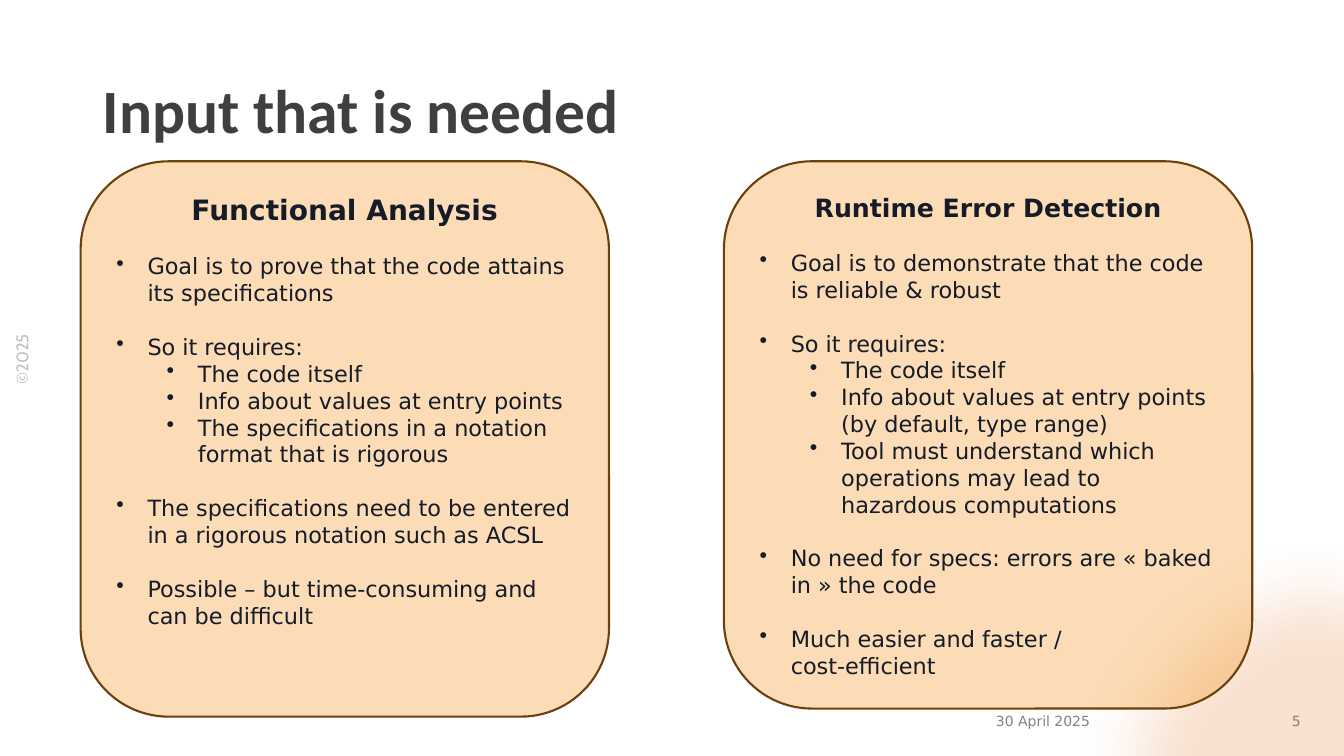
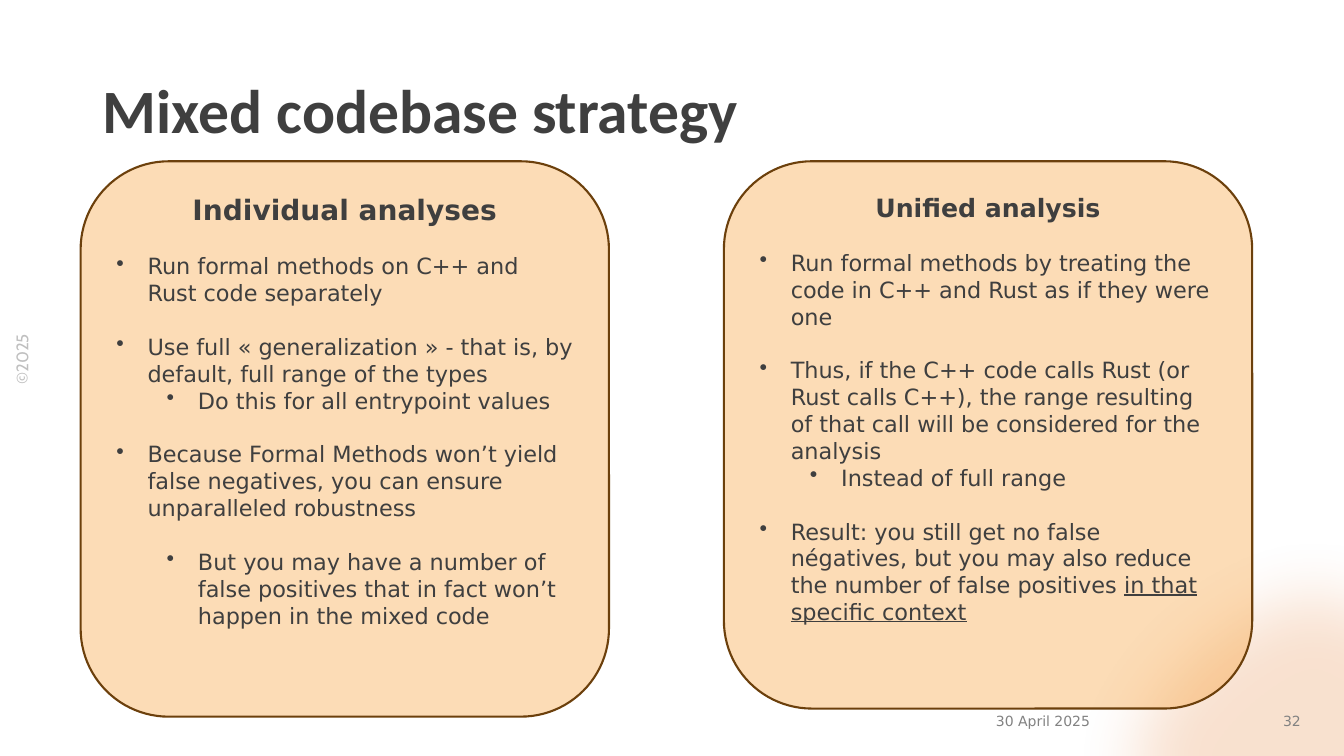
from dataclasses import dataclass

from lxml.etree import SubElement
from pptx import Presentation
from pptx.dml.color import RGBColor
from pptx.enum.shapes import MSO_SHAPE
from pptx.enum.text import MSO_ANCHOR, MSO_AUTO_SIZE, PP_ALIGN
from pptx.oxml.ns import qn
from pptx.util import Inches, Pt

# Shared look
TITLE_FONT, BODY_FONT, MARGIN_FONT = "Calibri", "DejaVu Sans", "Cabin"
DARK, NAVY, FOOTER_GREY, PALE_GREY = "3F3F3F", "151B27", "828282", "BFBFBF"
PANEL_FILL, PANEL_LINE, GLOW = "F7931C", "6C400C", "DD5F00"
BODY_SIZE = 16
LINE_HEIGHT = 1.2
BULLET_INDENT, LEVEL_STEP = 0.31, 0.5


@dataclass(frozen=True)
class Item:
    text: str
    level: int = 0
    gap: bool = True
    underlined: str = ""


@dataclass(frozen=True)
class Panel:
    heading: str
    items: list[Item]


@dataclass(frozen=True)
class PanelStyle:
    left: float
    height: float
    heading_size: int


@dataclass(frozen=True)
class Page:
    title: str
    number: str
    text_color: str
    panels: list[Panel]


PANEL_STYLES = [PanelStyle(0.8, 5.51, 20), PanelStyle(7.18, 5.43, 18)]


def sub_item(text: str, gap: bool = False) -> Item:
    return Item(text, level=1, gap=gap)


PAGES = [
    Page("Input that is needed", "5", NAVY, [
        Panel("Functional Analysis", [
            Item("Goal is to prove that the code attains its specifications"),
            Item("So it requires:"),
            sub_item("The code itself"),
            sub_item("Info about values at entry points"),
            sub_item("The specifications in a notation format that is rigorous"),
            Item("The specifications need to be entered in a rigorous notation such as ACSL"),
            Item("Possible – but time-consuming and can be difficult"),
        ]),
        Panel("Runtime Error Detection", [
            Item("Goal is to demonstrate that the code is reliable & robust"),
            Item("So it requires:"),
            sub_item("The code itself"),
            sub_item("Info about values at entry points (by default, type range)"),
            sub_item("Tool must understand which operations may lead to hazardous computations"),
            Item("No need for specs: errors are « baked in » the code"),
            Item("Much easier and faster /\ncost-efficient"),
        ]),
    ]),
    Page("Mixed codebase strategy", "32", DARK, [
        Panel("Individual analyses", [
            Item("Run formal methods on C++ and Rust code separately"),
            Item("Use full « generalization » - that is, by default, full range of the types"),
            sub_item("Do this for all entrypoint values"),
            Item("Because Formal Methods won’t yield false negatives, "
                 "you can ensure unparalleled robustness"),
            sub_item("But you may have a number of false positives "
                     "that in fact won’t happen in the mixed code", gap=True),
        ]),
        Panel("Unified analysis", [
            Item("Run formal methods by treating the code in C++ and Rust as if they were one"),
            Item("Thus, if the C++ code calls Rust (or Rust calls C++), the range "
                 "resulting of that call will be considered for the analysis"),
            sub_item("Instead of full range"),
            Item("Result: you still get no false négatives, but you may also reduce "
                 "the number of false positives ", underlined="in that specific context"),
        ]),
    ]),
]


def rgb(color: str) -> RGBColor:
    return RGBColor.from_string(color)


def write(paragraph, text: str, *, size: float, color: str, font: str = BODY_FONT,
          bold: bool = False, underline: bool = False, align=PP_ALIGN.LEFT) -> None:
    """Append formatted text, with a line break at each newline."""
    paragraph.alignment = align
    for index, line in enumerate(text.split("\n")):
        if index:
            paragraph.add_line_break()
        run = paragraph.add_run()
        run.text = line
        run.font.name, run.font.size = font, Pt(size)
        run.font.bold, run.font.underline = bold, underline
        run.font.color.rgb = rgb(color)


def set_fill(shape, color: str, opacity: int) -> None:
    shape.fill.solid()
    shape.fill.fore_color.rgb = rgb(color)
    color_element = shape.fill._xPr.find(qn("a:solidFill"))[0]
    SubElement(color_element, qn("a:alpha"), val=str(opacity * 1000))


def add_label(slide, text: str, left: float, top: float, width: float, height: float,
              *, anchor=MSO_ANCHOR.MIDDLE, **text_format):
    box = slide.shapes.add_textbox(Inches(left), Inches(top), Inches(width), Inches(height))
    box.text_frame.word_wrap = True
    box.text_frame.vertical_anchor = anchor
    write(box.text_frame.paragraphs[0], text, **text_format)
    return box


def add_frame(slide, number: str) -> None:
    """Draw the margin note, corner glow and footer."""
    margin_note = add_label(slide, "©2025", -0.66, 2.89, 1.75, 0.3, anchor=MSO_ANCHOR.TOP,
                            size=12, color=PALE_GREY, font=MARGIN_FONT)
    margin_note.rotation = 270

    glow = slide.shapes.add_shape(MSO_SHAPE.OVAL, Inches(10.42), Inches(5.1),
                                  Inches(5.2), Inches(4.8))
    glow.shadow.inherit = False
    set_fill(glow, GLOW, 19)
    glow.line.fill.background()
    effects = glow._element.spPr.find(qn("a:effectLst"))
    SubElement(effects, qn("a:softEdge"), rad=str(Pt(50)))

    add_label(slide, "30 April 2025", 9.78, 6.95, 1.71, 0.4, size=10, color=FOOTER_GREY)
    add_label(slide, number, 12.06, 6.95, 0.94, 0.4, size=10, color=FOOTER_GREY,
              align=PP_ALIGN.RIGHT)


def set_title(slide, text: str) -> None:
    title = slide.shapes.title
    title.left, title.top = Inches(0.92), Inches(0.4)
    title.width, title.height = Inches(11.5), Inches(1.45)
    title.text_frame.auto_size = MSO_AUTO_SIZE.NONE
    title.text_frame.vertical_anchor = MSO_ANCHOR.MIDDLE
    paragraph = title.text_frame.paragraphs[0]
    paragraph.line_spacing = 0.9
    write(paragraph, text, size=44, color=DARK, font=TITLE_FONT, bold=True)


def add_item(text_frame, item: Item, color: str) -> None:
    paragraph = text_frame.add_paragraph()
    paragraph.level = item.level
    properties = paragraph._p.get_or_add_pPr()
    properties.set("marL", str(Inches(BULLET_INDENT + LEVEL_STEP * item.level)))
    properties.set("indent", str(-Inches(BULLET_INDENT)))
    SubElement(properties, qn("a:buChar"), char="•")
    paragraph.line_spacing = Pt(BODY_SIZE * LINE_HEIGHT)
    paragraph.space_before = Pt(BODY_SIZE * LINE_HEIGHT if item.gap else 0)
    write(paragraph, item.text, size=BODY_SIZE, color=color)
    if item.underlined:
        write(paragraph, item.underlined, size=BODY_SIZE, color=color, underline=True)


def add_panel(slide, panel: Panel, style: PanelStyle, color: str) -> None:
    shape = slide.shapes.add_shape(MSO_SHAPE.ROUNDED_RECTANGLE, Inches(style.left), Inches(1.6),
                                   Inches(5.24), Inches(style.height))
    shape.shadow.inherit = False
    set_fill(shape, PANEL_FILL, 32)
    shape.line.color.rgb = rgb(PANEL_LINE)
    shape.line.width = Pt(1.5)

    text_frame = shape.text_frame
    text_frame.word_wrap = True
    text_frame.vertical_anchor = MSO_ANCHOR.TOP
    heading = text_frame.paragraphs[0]
    heading.line_spacing = Pt(style.heading_size * LINE_HEIGHT)
    write(heading, panel.heading, size=style.heading_size, color=color, bold=True,
          align=PP_ALIGN.CENTER)
    for item in panel.items:
        add_item(text_frame, item, color)


def main() -> None:
    presentation = Presentation()
    presentation.slide_width, presentation.slide_height = Inches(13.33), Inches(7.5)
    title_only = presentation.slide_layouts[5]
    for page in PAGES:
        slide = presentation.slides.add_slide(title_only)
        add_frame(slide, page.number)
        set_title(slide, page.title)
        for panel, style in zip(page.panels, PANEL_STYLES):
            add_panel(slide, panel, style, page.text_color)
    presentation.save("out.pptx")


if __name__ == "__main__":
    main()
